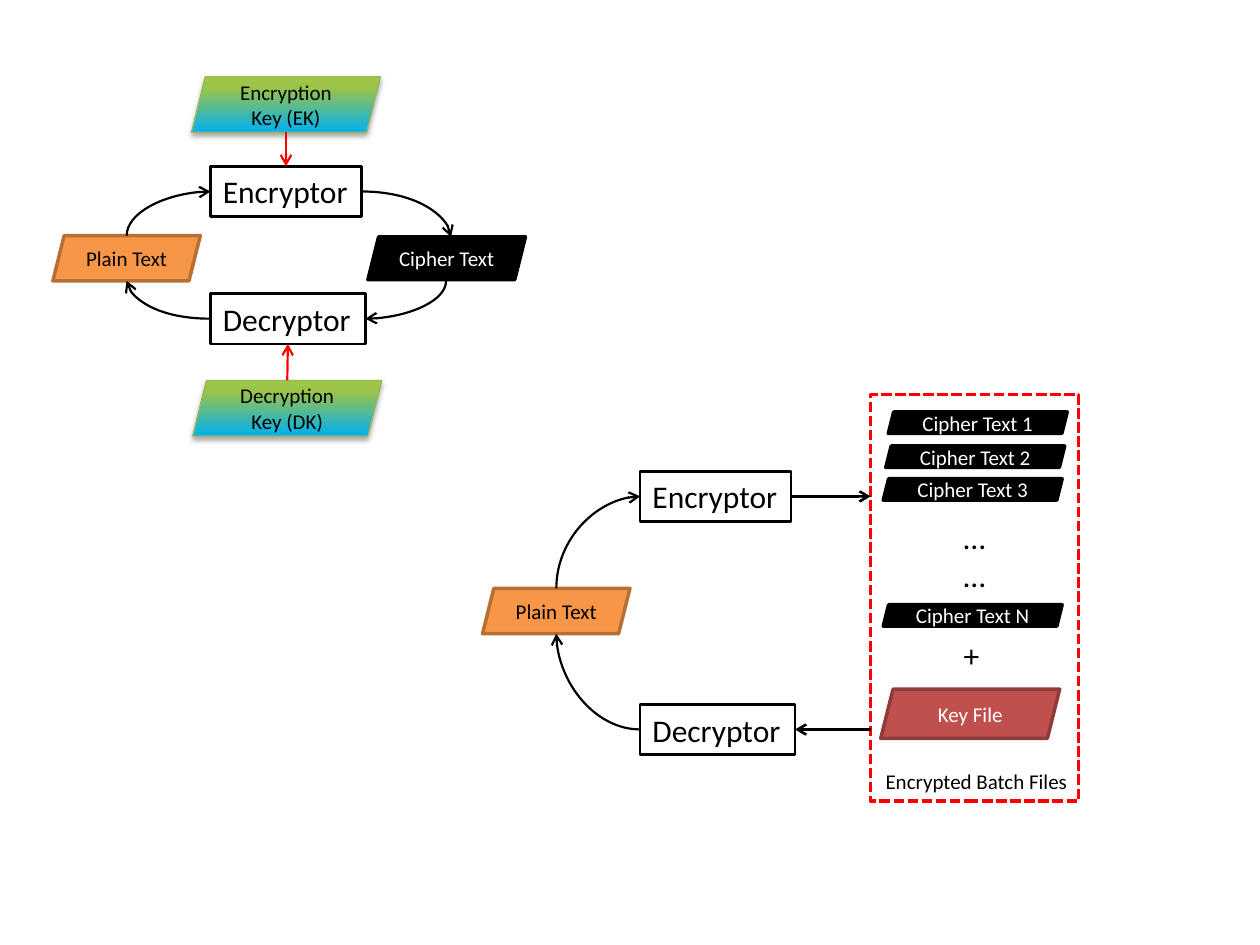
from lxml import etree
from pptx import Presentation
from pptx.dml.color import RGBColor
from pptx.enum.dml import MSO_LINE
from pptx.enum.shapes import MSO_CONNECTOR as CONNECTOR, MSO_SHAPE as SHAPE
from pptx.enum.text import MSO_ANCHOR as ANCHOR, MSO_AUTO_SIZE as AUTO_SIZE, PP_ALIGN as ALIGN
from pptx.oxml import parse_xml
from pptx.oxml.ns import nsdecls, qn
from pptx.util import Inches, Pt

BLACK, WHITE, RED = "000000", "FFFFFF", "FF0000"
BOX_HEIGHT = 0.4
ENCRYPTOR_WIDTH, DECRYPTOR_WIDTH = 1.2, 1.23
TOP, LEFT, BOTTOM, RIGHT = range(4)

KEY_GRADIENT = f"""<a:gradFill {nsdecls('a')} rotWithShape="1"><a:gsLst>
<a:gs pos="0"><a:srgbClr val="00B0F0"/></a:gs>
<a:gs pos="80000"><a:srgbClr val="9BC348"/></a:gs>
<a:gs pos="100000"><a:srgbClr val="9DC746"/></a:gs>
</a:gsLst><a:lin ang="16200000" scaled="0"/></a:gradFill>"""
KEY_SHADOW = f"""<a:effectLst {nsdecls('a')}>
<a:outerShdw blurRad="40000" dist="23000" dir="5400000" rotWithShape="0">
<a:srgbClr val="000000"><a:alpha val="35000"/></a:srgbClr></a:outerShdw></a:effectLst>"""


def rgb(value):
    return RGBColor.from_string(value)


def write(shape, lines, size, color, align):
    """One paragraph for each line of text."""
    frame = shape.text_frame
    for index, line in enumerate(lines):
        paragraph = frame.paragraphs[0] if index == 0 else frame.add_paragraph()
        paragraph.alignment = align
        run = paragraph.add_run()
        run.text = line
        run.font.name = "Calibri"
        run.font.size = Pt(size)
        run.font.color.rgb = rgb(color)


def fit_to_text(shape):
    frame = shape.text_frame
    frame.word_wrap = False
    frame.auto_size = AUTO_SIZE.SHAPE_TO_FIT_TEXT
    frame.vertical_anchor = ANCHOR.TOP


def add_outline(slide, kind, box, line, width, fill=None):
    shape = slide.shapes.add_shape(kind, *map(Inches, box))
    shape.shadow.inherit = False
    if fill:
        shape.fill.solid()
        shape.fill.fore_color.rgb = rgb(fill)
    else:
        shape.fill.background()
    shape.line.color.rgb = rgb(line)
    shape.line.width = Pt(width)
    return shape


def add_process(slide, name, left, top, width):
    box = add_outline(slide, SHAPE.RECTANGLE, (left, top, width, BOX_HEIGHT), BLACK, 1.5)
    fit_to_text(box)
    write(box, [name], 18, BLACK, ALIGN.LEFT)
    return box


def add_data(slide, label, box, fill=BLACK, line=BLACK, color=WHITE, width=2):
    shape = add_outline(slide, SHAPE.PARALLELOGRAM, box, line, width, fill)
    shape.text_frame.vertical_anchor = ANCHOR.MIDDLE
    write(shape, [label], 12, color, ALIGN.CENTER)
    return shape


def add_key(slide, label, left, top):
    shape = add_data(slide, label, (left, top, 1.5, 0.44), line="98B955", color=BLACK, width=0.75)
    properties = shape._element.spPr
    properties.replace(properties.find(qn("a:solidFill")), parse_xml(KEY_GRADIENT))
    properties.replace(properties.find(qn("a:effectLst")), parse_xml(KEY_SHADOW))


def add_label(slide, lines, box, size, align=ALIGN.LEFT):
    label = slide.shapes.add_textbox(*map(Inches, box))
    fit_to_text(label)
    write(label, lines, size, BLACK, align)


def add_arrow(slide, start, end, color=BLACK, width=1.25, kind=CONNECTOR.STRAIGHT):
    arrow = slide.shapes.add_connector(kind, *map(Inches, (*start, *end)))
    arrow.line.color.rgb = rgb(color)
    arrow.line.width = Pt(width)
    line = arrow.line._get_or_add_ln()
    etree.SubElement(line, qn("a:tailEnd"), type="arrow")
    etree.SubElement(arrow._element.spPr, qn("a:effectLst"))
    return arrow


def add_curve(slide, start, end, vertical_start=False):
    """Quarter turn; one that leaves vertically is laid flat, then rotated by 90 degrees."""
    if vertical_start:
        center_x, center_y = (start[0] + end[0]) / 2, (start[1] + end[1]) / 2
        half_x, half_y = (end[0] - start[0]) / 2, (end[1] - start[1]) / 2
        start = center_x - half_y, center_y + half_x
        end = center_x + half_y, center_y - half_x
    curve = add_arrow(slide, start, end, kind=CONNECTOR.CURVE)
    properties = curve._element.spPr
    properties.find(qn("a:prstGeom")).set("prst", "curvedConnector2")
    if vertical_start:
        properties.find(qn("a:xfrm")).set("rot", "5400000")


def add_cycle(slide, left, encryptor_top, decryptor_top, plain_top):
    """Encryptor and decryptor, joined by curves to the plain text on their left."""
    encryptor = add_process(slide, "Encryptor", left, encryptor_top, ENCRYPTOR_WIDTH)
    decryptor = add_process(slide, "Decryptor", left, decryptor_top, DECRYPTOR_WIDTH)
    plain_left, plain_width, plain_height = left - 1.25, 1.17, 0.36
    add_data(slide, "Plain Text", (plain_left, plain_top, plain_width, plain_height),
             "F79646", "B76F34", BLACK)
    middle = plain_left + plain_width / 2
    add_curve(slide, (middle, plain_top), (left, encryptor_top + BOX_HEIGHT / 2), True)
    add_curve(slide, (left, decryptor_top + BOX_HEIGHT / 2), (middle, plain_top + plain_height))
    return encryptor, decryptor


def add_single_file_scheme(slide):
    encryptor, decryptor = add_cycle(slide, 1.67, 1.32, 2.33, 1.87)
    add_data(slide, "Cipher Text", (2.92, 1.88, 1.25, 0.34))
    add_curve(slide, (2.87, 1.52), (3.58, 1.88))
    add_curve(slide, (3.54, 2.23), (2.9, 2.53), True)

    # Keys
    add_key(slide, "Encryption Key (EK)", 1.52, 0.61)
    add_key(slide, "Decryption Key (DK)", 1.53, 3.02)
    add_arrow(slide, (2.27, 1.05), (2.27, 1.32), RED).end_connect(encryptor, TOP)
    add_arrow(slide, (2.28, 3.02), (2.28, 2.73), RED).end_connect(decryptor, BOTTOM)


def add_batch_scheme(slide):
    encryptor, decryptor = add_cycle(slide, 5.08, 3.74, 5.59, 4.67)

    # Contents of the batch
    for number, left, top in (("1", 7.05, 3.27), ("2", 7.03, 3.54),
                              ("3", 7.01, 3.8), ("N", 7.01, 4.8)):
        add_data(slide, f"Cipher Text {number}", (left, top, 1.42, 0.17))
    add_label(slide, ["…", "…"], (7.55, 4.06, 0.38, 0.71), 18)
    add_label(slide, ["+"], (7.55, 5, 0.33, 0.4), 18)
    add_data(slide, "Key File", (6.99, 5.47, 1.42, 0.39), "C0504D", "8E3B39")

    # Frame around the batch
    frame_left = 6.91
    frame = add_outline(slide, SHAPE.RECTANGLE, (frame_left, 3.13, 1.65, 3.23), RED, 2)
    frame.line.dash_style = MSO_LINE.SQUARE_DOT
    add_label(slide, ["Encrypted Batch Files"], (6.93, 6.05, 1.66, 0.3), 12)

    # Arrows to and from the batch
    add_arrow(slide, (6.28, 3.94), (frame_left, 3.94), width=1.5).begin_connect(encryptor, RIGHT)
    add_arrow(slide, (frame_left, 5.79), (6.31, 5.79), width=1.5).end_connect(decryptor, RIGHT)


def main():
    presentation = Presentation()
    presentation.slide_width, presentation.slide_height = Inches(10), Inches(7.5)
    slide = presentation.slides.add_slide(presentation.slide_layouts[6])
    add_single_file_scheme(slide)
    add_batch_scheme(slide)
    presentation.save("out.pptx")


if __name__ == "__main__":
    main()
